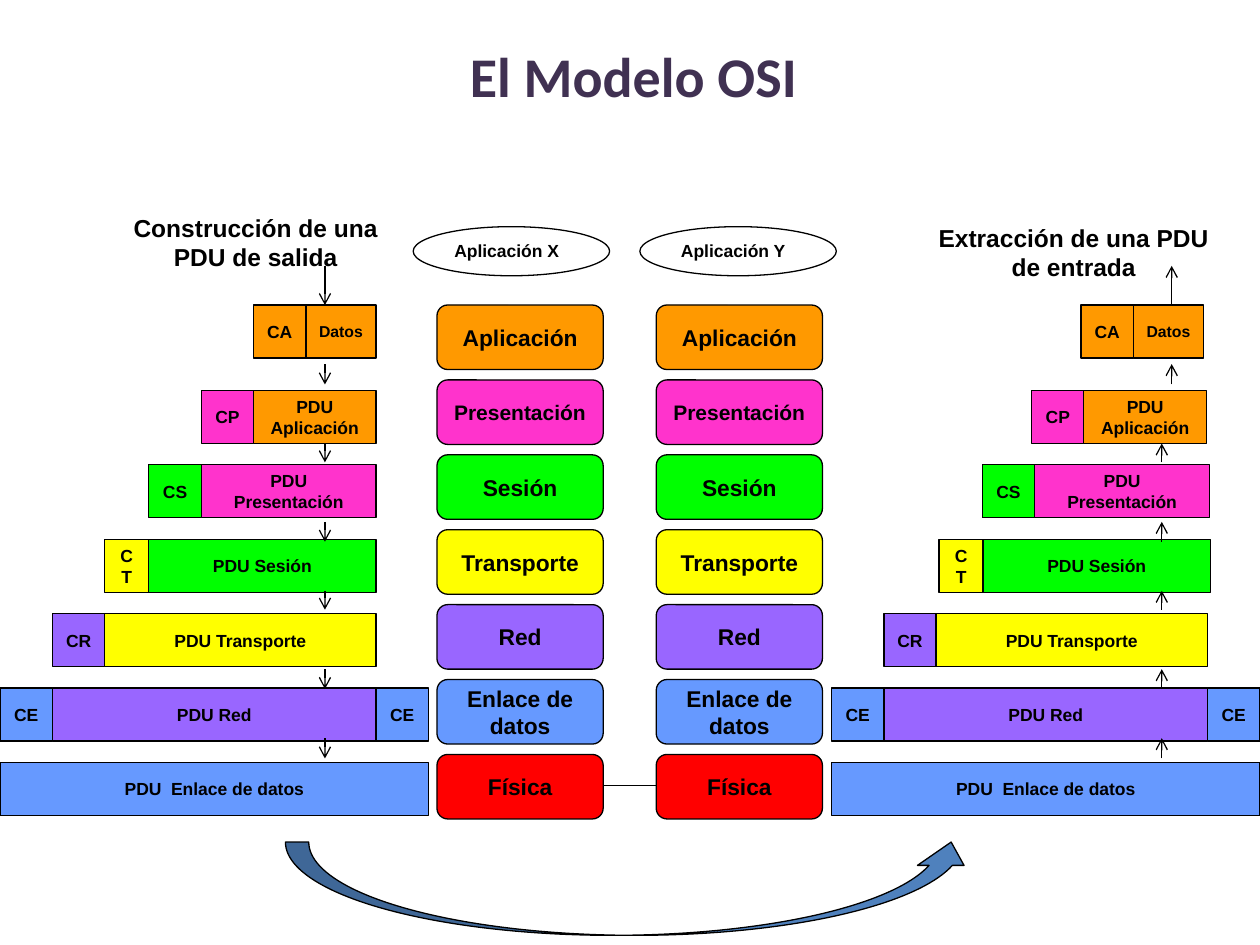
"""Build the slide that shows how PDUs pass through the layers of the OSI model."""
from lxml import etree
from pptx import Presentation
from pptx.dml.color import RGBColor
from pptx.enum.shapes import MSO_CONNECTOR, MSO_SHAPE
from pptx.enum.text import MSO_ANCHOR, PP_ALIGN
from pptx.oxml.ns import qn
from pptx.util import Cm, Pt

BLACK = RGBColor(0x00, 0x00, 0x00)
WHITE = RGBColor(0xFF, 0xFF, 0xFF)
ORANGE = RGBColor(0xFF, 0x99, 0x00)
PINK = RGBColor(0xFF, 0x33, 0xCC)
GREEN = RGBColor(0x00, 0xFF, 0x00)
YELLOW = RGBColor(0xFF, 0xFF, 0x00)
PURPLE = RGBColor(0x99, 0x66, 0xFF)
BLUE = RGBColor(0x66, 0x99, 0xFF)
RED = RGBColor(0xFF, 0x00, 0x00)
STEEL = RGBColor(0x4F, 0x81, 0xBD)
PLUM = RGBColor(0x40, 0x31, 0x52)


class Diagram:
    """Hold the line and font style and draw elements on one slide."""

    font = "Arial"
    line_width = Pt(0.75)

    def __init__(self, slide):
        self.slide = slide

    def fill_text(self, shape, text, size, color=BLACK, font=font,
                  align=PP_ALIGN.CENTER, anchor=MSO_ANCHOR.MIDDLE):
        frame = shape.text_frame
        frame.word_wrap = True
        frame.vertical_anchor = anchor
        paragraph = frame.paragraphs[0]
        paragraph.alignment = align
        run = paragraph.add_run()
        run.text = text
        run.font.name = font
        run.font.size = Pt(size)
        run.font.bold = True
        run.font.color.rgb = color

    def shape(self, kind, x, y, width, height, fill):
        shape = self.slide.shapes.add_shape(kind, Cm(x), Cm(y), Cm(width), Cm(height))
        shape.shadow.inherit = False
        shape.fill.solid()
        shape.fill.fore_color.rgb = fill
        shape.line.color.rgb = BLACK
        shape.line.width = self.line_width
        return shape

    def box(self, x, y, width, height, fill, text, size=10, kind=MSO_SHAPE.RECTANGLE, **style):
        self.fill_text(self.shape(kind, x, y, width, height, fill), text, size, **style)

    def label(self, x, y, width, height, text, size, **style):
        label = self.slide.shapes.add_textbox(Cm(x), Cm(y), Cm(width), Cm(height))
        self.fill_text(label, text, size, **style)

    def line(self, x1, y1, x2, y2, arrow=False):
        line = self.slide.shapes.add_connector(
            MSO_CONNECTOR.STRAIGHT, Cm(x1), Cm(y1), Cm(x2), Cm(y2))
        line.line.color.rgb = BLACK
        line.line.width = self.line_width
        properties = line.element.spPr
        if arrow:
            etree.SubElement(properties.find(qn("a:ln")), qn("a:tailEnd"), type="arrow")
        etree.SubElement(properties, qn("a:effectLst"))


LAYERS = [
    ("Aplicación", ORANGE, 13), ("Presentación", PINK, 12), ("Sesión", GREEN, 13),
    ("Transporte", YELLOW, 13), ("Red", PURPLE, 13), ("Enlace de datos", BLUE, 13),
    ("Física", RED, 13),
]
LAYER_TOP, LAYER_STEP, LAYER_WIDTH, LAYER_HEIGHT = 6.15, 1.51, 3.35, 1.3
STACK_X, STACK_Y = 8.81, 13.23

HEADERS = ["CA", "CP", "CS", "CT", "CR", "CE"]
PDU_LEFTS = [6.17, 5.11, 4.06, 3, 2.11, 1.06, 0]
PDU_TOPS = [6.15] + [7.87 + 1.5 * row for row in range(6)]
PDU_RIGHT, FRAME_RIGHT, PDU_HEIGHT = 7.58, 8.64, 1.07
OUTGOING_SHIFTS = [0] * 7
INCOMING_SHIFTS = [16.68, 16.74, 16.8, 16.82, 16.76, 16.76, 16.76]

ARROW_SPANS = [(5.36, 6.15), (7.34, 7.75), (8.94, 9.32), (10.52, 10.92),
               (11.91, 12.29), (13.49, 13.89), (14.88, 15.29)]
OUTGOING_ARROW_X = 6.55
INCOMING_ARROW_X = [23.62] * 2 + [23.42] * 5


def draw_pdus(diagram, shifts):
    for row, (left, top, shift) in enumerate(zip(PDU_LEFTS, PDU_TOPS, shifts)):
        name, fill, _ = LAYERS[max(row - 1, 0)]
        text, size = (f"PDU {name}", 10) if row else ("Datos", 9)
        right = PDU_RIGHT
        if row == len(HEADERS):
            text, right = f"PDU  {name}", FRAME_RIGHT
        else:
            start = PDU_LEFTS[row + 1]
            diagram.box(start + shift, top, left - start, PDU_HEIGHT,
                        LAYERS[row][1], HEADERS[row])
        diagram.box(left + shift, top, right - left, PDU_HEIGHT, fill, text, size)
        if row == len(HEADERS) - 1:
            diagram.box(PDU_RIGHT + shift, top, FRAME_RIGHT - PDU_RIGHT, PDU_HEIGHT,
                        LAYERS[row][1], HEADERS[row])


prs = Presentation()
prs.slide_width, prs.slide_height = Cm(25.4), Cm(19.05)
diagram = Diagram(prs.slides.add_slide(prs.slide_layouts[6]))

for stack_left in (STACK_X, STACK_Y):
    for level, (name, fill, size) in enumerate(LAYERS):
        diagram.box(stack_left, LAYER_TOP + level * LAYER_STEP, LAYER_WIDTH, LAYER_HEIGHT,
                    fill, name, size, kind=MSO_SHAPE.ROUNDED_RECTANGLE)
diagram.line(STACK_X + LAYER_WIDTH, 15.83, STACK_Y, 15.83)

for shifts in (OUTGOING_SHIFTS, INCOMING_SHIFTS):
    draw_pdus(diagram, shifts)

transfer = diagram.shape(MSO_SHAPE.CURVED_RIGHT_ARROW, 11.76, 10.97, 1.88, 13.89, STEEL)
transfer.rotation = 270
for index, value in enumerate((0.25, 0.5, 0.25)):
    transfer.adjustments[index] = value

for x, y, text in ((1.98, 4.17, "Construcción de una PDU de salida"),
                   (18.47, 4.37, "Extracción de una PDU de entrada")):
    diagram.label(x, y, 6.35, 1.45, text, 14, anchor=MSO_ANCHOR.TOP)

for (top, bottom), incoming_x in zip(ARROW_SPANS, INCOMING_ARROW_X):
    diagram.line(OUTGOING_ARROW_X, top, OUTGOING_ARROW_X, bottom, arrow=True)
    diagram.line(incoming_x, bottom, incoming_x, top, arrow=True)

for x, text in ((8.33, "Aplicación X"), (12.9, "Aplicación Y")):
    diagram.box(x, 4.57, 3.96, 0.99, WHITE, text, kind=MSO_SHAPE.OVAL,
                align=PP_ALIGN.LEFT, anchor=MSO_ANCHOR.TOP)

diagram.label(0.2, -0.08, 24.89, 3.18, " El Modelo OSI", 32, color=PLUM, font="Calibri")

prs.save("out.pptx")
